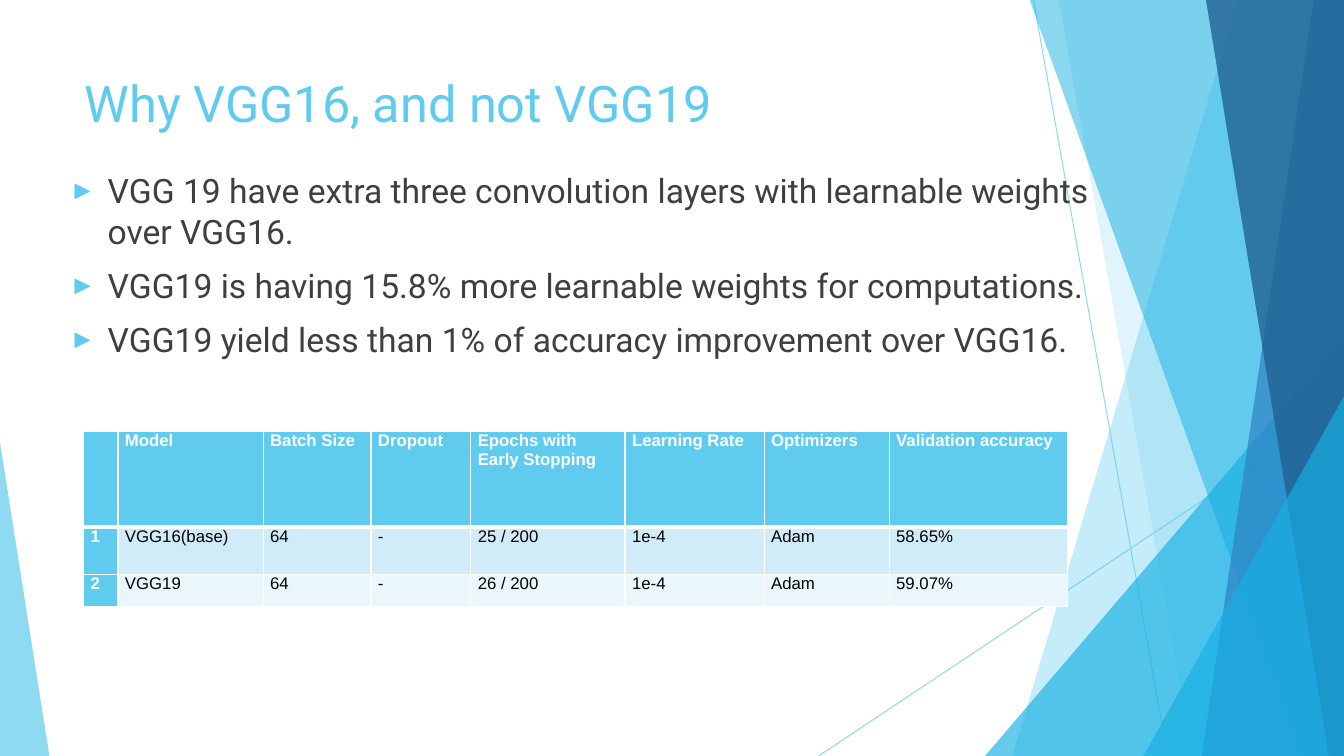
from lxml.etree import SubElement
from pptx import Presentation
from pptx.dml.color import RGBColor
from pptx.enum.shapes import MSO_CONNECTOR, MSO_SHAPE
from pptx.enum.text import MSO_ANCHOR, MSO_AUTO_SIZE, PP_ALIGN
from pptx.oxml import parse_xml
from pptx.oxml.ns import nsdecls, qn
from pptx.util import Inches, Pt

SKY = RGBColor(0x5F, 0xCB, 0xEF)
CYAN = RGBColor(0x16, 0xB0, 0xE3)
BLUE = RGBColor(0x2E, 0x83, 0xC3)
NAVY = RGBColor(0x22, 0x62, 0x92)
DARK_GRAY = RGBColor(0x3F, 0x3F, 0x3F)
PALE = RGBColor(0xD1, 0xEC, 0xF9)
PALER = RGBColor(0xE9, 0xF6, 0xFC)
WHITE = RGBColor(0xFF, 0xFF, 0xFF)
BLACK = RGBColor(0, 0, 0)

WIDTH, HEIGHT, TOP = 13.33, 7.5, -0.01

# Facets from back to front: strips give top and bottom x of their left edge
RAYS = [(10.25, 0, 11.58, HEIGHT), (WIDTH, 4.03, 8.12, HEIGHT)]
FACETS = [
    ("strip", (12.28, 10.04), SKY, 36),
    ("strip", (10.5, 11.83), SKY, 20),
    ("triangle", (9.77, 3.33, 3.56, 4.17, 1), CYAN, 66),
    ("strip", (10.21, 12.91), CYAN, 50),
    ("strip", (13.03, 11.92), BLUE, 70),
    ("strip", (11.96, 13.18), NAVY, 80),
    ("triangle", (11.34, 3.93, 1.99, 3.57, 1), CYAN, 66),
    ("triangle", (0, 4.39, 0.49, 3.11, 0), SKY, 70),
]
REASONS = [
    "VGG 19 have extra three convolution layers with learnable weights over VGG16.",
    "VGG19 is having 15.8% more learnable weights for computations.",
    "VGG19 yield less than 1% of accuracy improvement over VGG16.",
]
RESULTS = [
    ["", "Model", "Batch Size", "Dropout", "Epochs with Early Stopping",
     "Learning Rate", "Optimizers", "Validation accuracy"],
    ["1", "VGG16(base)", "64", "-", "25 / 200", "1e-4", "Adam", "58.65%"],
    ["2", "VGG19", "64", "-", "26 / 200", "1e-4", "Adam", "59.07%"],
]
COLUMN_WIDTHS = [0.34, 1.44, 1.07, 0.99, 1.53, 1.38, 1.24, 1.77]
ROW_HEIGHTS = [0.95, 0.47, 0.32]
ROW_FILLS = [SKY, PALE, PALER]


class SlideBuilder:
    heading_font = "Roboto"
    table_font = "Arial"

    def __init__(self, deck):
        self.slide = deck.slides.add_slide(deck.slide_layouts[5])
        self.shapes = self.slide.shapes

    def ray(self, x1, y1, x2, y2):
        ray = self.shapes.add_connector(
            MSO_CONNECTOR.STRAIGHT, Inches(x1), Inches(y1), Inches(x2), Inches(y2))
        ray.line.color.rgb = SKY
        ray.line.width = Pt(0.75)
        self.set_opacity(ray, 70)
        SubElement(ray._element.spPr, qn("a:effectLst"))

    def strip(self, top_x, bottom_x):
        """Outline a facet that reaches from a slanted left edge to the slide's right edge."""
        outline = self.shapes.build_freeform(Inches(top_x), Inches(TOP))
        corners = [(WIDTH, TOP), (WIDTH, HEIGHT), (bottom_x, HEIGHT)]
        outline.add_line_segments([(Inches(x), Inches(y)) for x, y in corners])
        return outline.convert_to_shape()

    def triangle(self, left, top, width, height, apex):
        shape = self.shapes.add_shape(
            MSO_SHAPE.ISOSCELES_TRIANGLE,
            Inches(left), Inches(top), Inches(width), Inches(height))
        shape.adjustments[0] = apex
        return shape

    def facet(self, kind, geometry, color, opacity):
        shape = self.strip(*geometry) if kind == "strip" else self.triangle(*geometry)
        shape.shadow.inherit = False
        shape.line.fill.background()
        shape.fill.solid()
        shape.fill.fore_color.rgb = color
        self.set_opacity(shape, opacity)

    def title(self, text, left, top, width, height):
        title = self.shapes.title
        title.left, title.top = Inches(left), Inches(top)
        title.width, title.height = Inches(width), Inches(height)
        frame = title.text_frame
        frame.text = text
        frame.auto_size = MSO_AUTO_SIZE.NONE
        frame.vertical_anchor = MSO_ANCHOR.TOP
        para = frame.paragraphs[0]
        para.alignment = PP_ALIGN.LEFT
        self.set_font(para, self.heading_font, 36, SKY)
        self.shapes._spTree.append(title._element)

    def bullets(self, texts, left, top, width, height):
        box = self.shapes.add_textbox(
            Inches(left), Inches(top), Inches(width), Inches(height))
        frame = box.text_frame
        frame.word_wrap = True
        for index, text in enumerate(texts):
            para = frame.add_paragraph() if index else frame.paragraphs[0]
            para.text = text
            properties = para._p.get_or_add_pPr()
            properties.set("marL", str(Inches(0.38)))
            properties.set("indent", str(Inches(-0.38)))
            color = SubElement(properties, qn("a:buClr"))
            SubElement(color, qn("a:srgbClr"), val=str(SKY))
            SubElement(properties, qn("a:buSzPct"), val="80000")
            SubElement(properties, qn("a:buFont"), typeface="Arial")
            SubElement(properties, qn("a:buChar"), char="►")
            if index:
                para.space_before = Pt(10)
            self.set_font(para, self.heading_font, 24, DARK_GRAY)

    def table(self, rows, left, top):
        frame = self.shapes.add_table(
            len(rows), len(COLUMN_WIDTHS), Inches(left), Inches(top),
            Inches(sum(COLUMN_WIDTHS)), Inches(sum(ROW_HEIGHTS)))
        table = frame.table
        for column, width in zip(table.columns, COLUMN_WIDTHS):
            column.width = Inches(width)
        for row, height in zip(table.rows, ROW_HEIGHTS):
            row.height = Inches(height)
        for r, texts in enumerate(rows):
            for c, text in enumerate(texts):
                is_header = r == 0 or c == 0
                cell = table.cell(r, c)
                cell.margin_left = cell.margin_right = Inches(0.07)
                cell.margin_top = cell.margin_bottom = 0
                cell.fill.solid()
                cell.fill.fore_color.rgb = SKY if is_header else ROW_FILLS[r]
                cell.text = text
                self.set_font(cell.text_frame.paragraphs[0], self.table_font, 12,
                              WHITE if is_header else BLACK, is_header)
                self.cell_borders(cell, 3 if r == 1 else 1, 3 if r == 0 else 1)

    @staticmethod
    def cell_borders(cell, top_width, bottom_width):
        properties = cell._tc.get_or_add_tcPr()
        sides = [("lnL", 1), ("lnR", 1), ("lnT", top_width), ("lnB", bottom_width)]
        for index, (side, width) in enumerate(sides):
            properties.insert(index, parse_xml(
                f'<a:{side} {nsdecls("a")} w="{Pt(width)}"><a:solidFill>'
                f'<a:srgbClr val="{WHITE}"/></a:solidFill></a:{side}>'))

    @staticmethod
    def set_opacity(shape, percent):
        color = next(shape._element.spPr.iter(qn("a:srgbClr")))
        SubElement(color, qn("a:alpha"), val=str(percent * 1000))

    @staticmethod
    def set_font(para, name, size, color, bold=False):
        para.font.name = name
        para.font.size = Pt(size)
        para.font.bold = bold
        para.font.color.rgb = color


def main():
    deck = Presentation()
    deck.slide_width, deck.slide_height = Inches(WIDTH), Inches(HEIGHT)
    builder = SlideBuilder(deck)
    for ray in RAYS:
        builder.ray(*ray)
    for facet in FACETS:
        builder.facet(*facet)
    builder.title("Why VGG16, and not VGG19", 0.74, 0.67, 9.4, 1.44)
    builder.bullets(REASONS, 0.59, 1.64, 10.47, 3.61)
    builder.table(RESULTS, 0.83, 4.28)
    deck.save("out.pptx")


if __name__ == "__main__":
    main()
